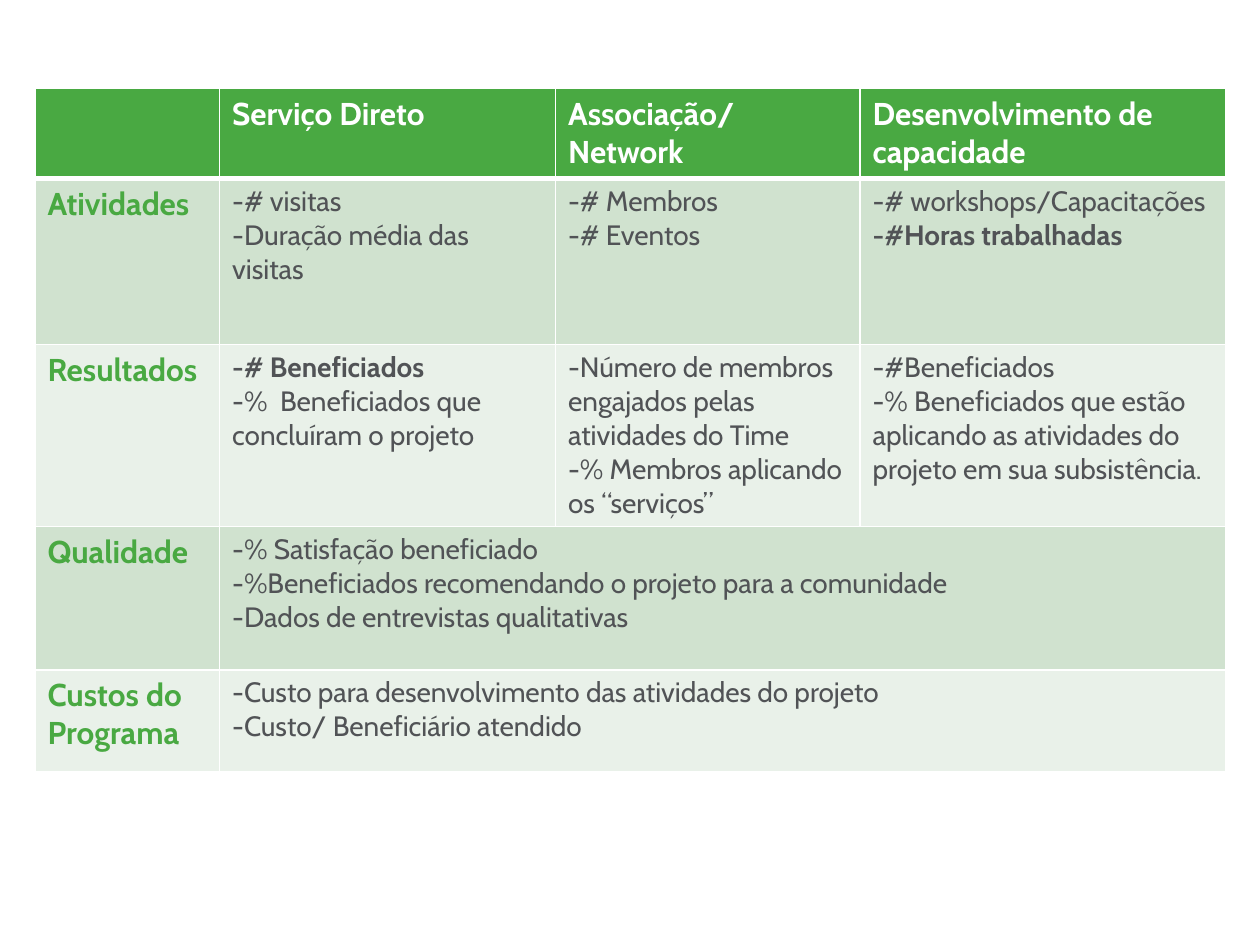
from dataclasses import dataclass

from lxml.etree import SubElement
from pptx import Presentation
from pptx.dml.color import RGBColor as Rgb
from pptx.oxml.ns import qn
from pptx.util import Pt


@dataclass(frozen=True)
class Theme:
    font: str = "Cabin"
    heading_size: float = 18
    body_size: float = 16
    green: str = "49A942"
    white: str = "FFFFFF"
    gray: str = "515356"
    bands: tuple[str, str] = ("D0E2CF", "E9F1E9")
    grid_width: float = 1
    header_rule_width: float = 3


@dataclass(frozen=True)
class TextStyle:
    size: float
    color: str
    bold: bool


@dataclass(frozen=True)
class Line:
    text: str
    bold: bool = False


@dataclass(frozen=True)
class Category:
    """One row: its label and the lines of each cell; a single cell spans all models."""
    label: str
    height: float
    indicators: tuple[tuple[Line, ...], ...]


THEME = Theme()
HEADER_STYLE = TextStyle(THEME.heading_size, THEME.white, True)
LABEL_STYLE = TextStyle(THEME.heading_size, THEME.green, True)
INDICATOR_STYLE = TextStyle(THEME.body_size, THEME.gray, False)

LEFT, TOP = 20, 50.7
COLUMN_WIDTHS = (105.5, 192, 174, 209)
HEADER_HEIGHT = 50.4
MODELS = (
    (),
    (Line("Serviço Direto"),),
    (Line("Associação/"), Line("Network")),
    (Line("Desenvolvimento de capacidade"),),
)
CATEGORIES = (
    Category("Atividades", 95, (
        (Line("-# visitas"), Line("-Duração média das visitas")),
        (Line("-# Membros"), Line("-# Eventos")),
        (Line("-# workshops/Capacitações"), Line("-#Horas trabalhadas", True)),
    )),
    Category("Resultados", 103.7, (
        (Line("-# Beneficiados", True),
         Line("-%  Beneficiados que concluíram o projeto")),
        (Line("-Número de membros engajados pelas atividades do Time"),
         Line("-% Membros aplicando os “serviços”")),
        (Line("-#Beneficiados"),
         Line("-% Beneficiados que estão aplicando as atividades do projeto "
              "em sua subsistência.")),
    )),
    Category("Qualidade", 82, (
        (Line("-% Satisfação beneficiado"),
         Line("-%Beneficiados recomendando o projeto para a comunidade"),
         Line("-Dados de entrevistas qualitativas")),
    )),
    Category("Custos do Programa", 58.3, (
        (Line("-Custo para desenvolvimento das atividades do projeto"),
         Line("-Custo/ Beneficiário atendido")),
    )),
)


def write_lines(cell, lines: tuple[Line, ...], style: TextStyle) -> None:
    cell.text_frame.text = "\n".join(line.text for line in lines)
    for paragraph, line in zip(cell.text_frame.paragraphs, lines):
        for run in paragraph.runs:
            run.font.name = THEME.font
            run.font.size = Pt(style.size)
            run.font.bold = style.bold or line.bold
            run.font.color.rgb = Rgb.from_string(style.color)


def draw_borders(cell, top: float, bottom: float) -> None:
    properties = cell._tc.get_or_add_tcPr()
    widths = {"L": THEME.grid_width, "R": THEME.grid_width, "T": top, "B": bottom}
    for side, width in widths.items():
        border = SubElement(properties, qn(f"a:ln{side}"), w=str(Pt(width)))
        fill = SubElement(border, qn("a:solidFill"))
        SubElement(fill, qn("a:srgbClr"), val=THEME.white)


def paint_row(table, row: int, color: str) -> None:
    """Fill a row and rule its cells, with a thick rule below the header."""
    thin, thick = THEME.grid_width, THEME.header_rule_width
    for column in range(len(COLUMN_WIDTHS)):
        cell = table.cell(row, column)
        draw_borders(cell, thick if row == 1 else thin, thick if row == 0 else thin)
        cell.fill.solid()
        cell.fill.fore_color.rgb = Rgb.from_string(color)


def add_indicator_table(slide) -> None:
    heights = (HEADER_HEIGHT, *(category.height for category in CATEGORIES))
    table = slide.shapes.add_table(
        len(heights), len(COLUMN_WIDTHS), Pt(LEFT), Pt(TOP),
        Pt(sum(COLUMN_WIDTHS)), Pt(sum(heights))).table
    for column, width in zip(table.columns, COLUMN_WIDTHS):
        column.width = Pt(width)
    for row, height in zip(table.rows, heights):
        row.height = Pt(height)

    paint_row(table, 0, THEME.green)
    for column, model in enumerate(MODELS):
        write_lines(table.cell(0, column), model, HEADER_STYLE)

    last_column = len(COLUMN_WIDTHS) - 1
    for row, category in enumerate(CATEGORIES, start=1):
        paint_row(table, row, THEME.bands[(row - 1) % 2])
        write_lines(table.cell(row, 0), (Line(category.label),), LABEL_STYLE)
        if len(category.indicators) == 1:
            table.cell(row, 1).merge(table.cell(row, last_column))
        for column, lines in enumerate(category.indicators, start=1):
            write_lines(table.cell(row, column), lines, INDICATOR_STYLE)


def main() -> None:
    presentation = Presentation()
    presentation.slide_width, presentation.slide_height = Pt(720), Pt(540)
    add_indicator_table(presentation.slides.add_slide(presentation.slide_layouts[6]))
    presentation.save("out.pptx")


if __name__ == "__main__":
    main()
